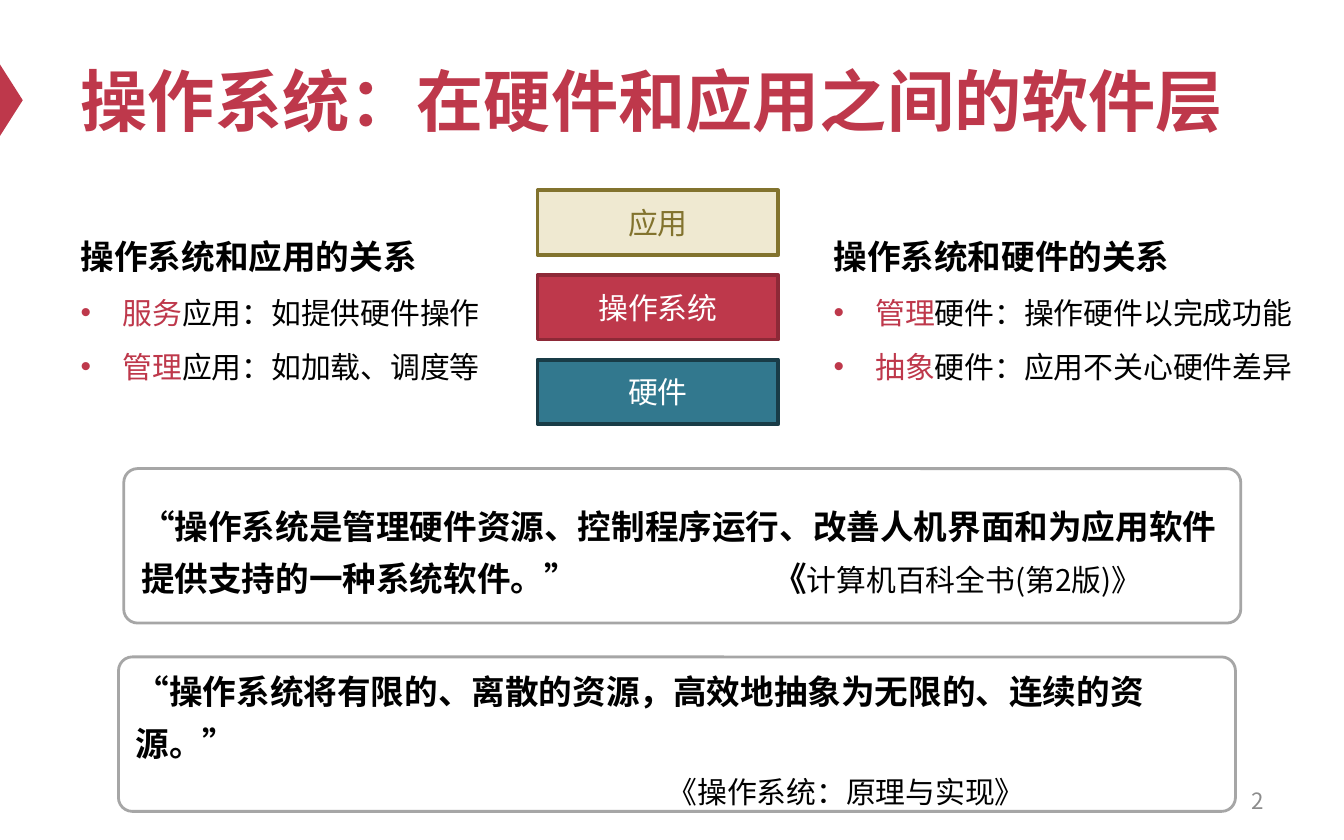
from lxml import etree
from pptx import Presentation
from pptx.dml.color import RGBColor
from pptx.enum.lang import MSO_LANGUAGE_ID
from pptx.enum.shapes import MSO_SHAPE
from pptx.enum.text import MSO_ANCHOR, MSO_AUTO_SIZE, PP_ALIGN
from pptx.oxml.ns import qn
from pptx.util import Cm, Pt

RED = RGBColor(0xBE, 0x38, 0x4B)
DARK_RED = RGBColor(0x8D, 0x29, 0x37)
CREAM = RGBColor(0xEF, 0xE9, 0xD1)
OLIVE = RGBColor(0x82, 0x73, 0x2E)
TEAL = RGBColor(0x32, 0x78, 0x8E)
DARK_TEAL = RGBColor(0x19, 0x3C, 0x47)
WHITE = RGBColor(0xFF, 0xFF, 0xFF)
BLACK = RGBColor(0, 0, 0)
GRAY = RGBColor(0xA6, 0xA6, 0xA6)
NUMBER_GRAY = RGBColor(0x8C, 0x8C, 0x8C)
CJK = "Noto Sans CJK SC"


def add_run(p, text, size=16, color=BLACK, bold=False, font="Arial"):
    r = p.add_run()
    r.text = text
    r.font.size = Pt(size)
    r.font.bold = bold
    r.font.color.rgb = color
    r.font.name = font
    r.font.language_id = MSO_LANGUAGE_ID.SIMPLIFIED_CHINESE
    ea = etree.Element(qn("a:ea"), typeface=CJK)
    r.font._element.find(qn("a:latin")).addnext(ea)


def add_box(kind, left, top, width, height, fill, line=None, weight=2):
    sp = slide.shapes.add_shape(kind, Cm(left), Cm(top), Cm(width), Cm(height))
    sp.shadow.inherit = False
    sp.fill.solid()
    sp.fill.fore_color.rgb = fill
    if line is None:
        sp.line.fill.background()
    else:
        sp.line.color.rgb = line
        sp.line.width = Pt(weight)
    sp.text_frame.word_wrap = True
    sp.text_frame.vertical_anchor = MSO_ANCHOR.MIDDLE
    return sp


prs = Presentation()
prs.slide_width, prs.slide_height = Cm(25.4), Cm(15.88)
slide = prs.slides.add_slide(prs.slide_layouts[3])
title, left_list, right_list = slide.placeholders

marker = add_box(MSO_SHAPE.ISOSCELES_TRIANGLE, -0.46, 1.68, 1.35, 0.43, RED)
marker.rotation = 90

title.left, title.top, title.width, title.height = Cm(1.27), Cm(0.64), Cm(22.86), Cm(2.49)
tf = title.text_frame
tf.auto_size = MSO_AUTO_SIZE.NONE
tf.vertical_anchor = MSO_ANCHOR.MIDDLE
p = tf.paragraphs[0]
p.alignment = PP_ALIGN.LEFT
add_run(p, "操作系统：在硬件和应用之间的软件层", size=36, color=RED, bold=True)

layers = [
    ("应用", CREAM, OLIVE, OLIVE),
    ("操作系统", RED, DARK_RED, WHITE),
    ("硬件", TEAL, DARK_TEAL, WHITE),
]
for i, (name, fill, line, color) in enumerate(layers):
    sp = add_box(MSO_SHAPE.RECTANGLE, 10.16, 3.6 + 1.6 * i, 4.55, 1.22, fill, line)
    p = sp.text_frame.paragraphs[0]
    p.alignment = PP_ALIGN.CENTER
    add_run(p, name, color=color)

relations = [
    (left_list, 1.27, 9.83, "操作系统和应用的关系",
     [("服务", "应用：如提供硬件操作"), ("管理", "应用：如加载、调度等")]),
    (right_list, 15.5, 10.21, "操作系统和硬件的关系",
     [("管理", "硬件：操作硬件以完成功能"), ("抽象", "硬件：应用不关心硬件差异")]),
]
for sp, left, width, heading, items in relations:
    sp.left, sp.top, sp.width, sp.height = Cm(left), Cm(3.96), Cm(width), Cm(3.45)
    tf = sp.text_frame
    tf.auto_size = MSO_AUTO_SIZE.NONE
    tf.vertical_anchor = MSO_ANCHOR.TOP
    add_run(tf.paragraphs[0], heading, size=18, bold=True)
    for keyword, rest in items:
        p = tf.add_paragraph()
        add_run(p, keyword, color=RED)
        add_run(p, rest)
    for i, p in enumerate(tf.paragraphs):
        p.line_spacing = 1.5
        p.space_before = Pt(0)
        pPr = p._p.get_or_add_pPr()
        indent = Cm(0.79) if i else 0
        pPr.set("marL", str(indent))
        pPr.set("indent", str(-indent))
        if i:
            etree.SubElement(pPr, qn("a:buFont"), typeface="Arial")
            etree.SubElement(pPr, qn("a:buChar"), char="•")
        else:
            etree.SubElement(pPr, qn("a:buNone"))

quote_frames = []
for left, top in [(2.34, 8.86), (2.24, 12.42)]:
    sp = add_box(MSO_SHAPE.ROUNDED_RECTANGLE, left, top, 21.11, 2.92, WHITE, GRAY, 1.5)
    sp.adjustments[0] = 0.09
    quote_frames.append(sp.text_frame)
encyclopedia, textbook = quote_frames

p = encyclopedia.paragraphs[0]
add_run(p, "“操作系统是管理硬件资源、控制程序运行、改善人机界面和为应用软件"
        "提供支持的一种系统软件。”\t《", size=18, bold=True, font=CJK)
add_run(p, "计算机百科全书(第2版)》", font=CJK)
tabs = etree.SubElement(p._p.get_or_add_pPr(), qn("a:tabLst"))
etree.SubElement(tabs, qn("a:tab"), pos=str(Cm(11.95)), algn="l")

add_run(textbook.paragraphs[0], "“操作系统将有限的、离散的资源，高效地抽象为无限的、连续的资源。”",
        size=18, bold=True, font=CJK)
p = textbook.add_paragraph()
p._p.get_or_add_pPr().set("marL", str(Cm(10.05)))
add_run(p, "《操作系统：原理与实现》", font=CJK)

for tf in quote_frames:
    for p in tf.paragraphs:
        p.alignment = PP_ALIGN.LEFT
        p.line_spacing = 1.3

number = slide.shapes.add_textbox(Cm(18.21), Cm(14.71), Cm(5.92), Cm(0.84))
tf = number.text_frame
tf.word_wrap = True
tf.vertical_anchor = MSO_ANCHOR.MIDDLE
p = tf.paragraphs[0]
p.alignment = PP_ALIGN.RIGHT
add_run(p, "2", size=12, color=NUMBER_GRAY, font=CJK)

prs.save("out.pptx")
